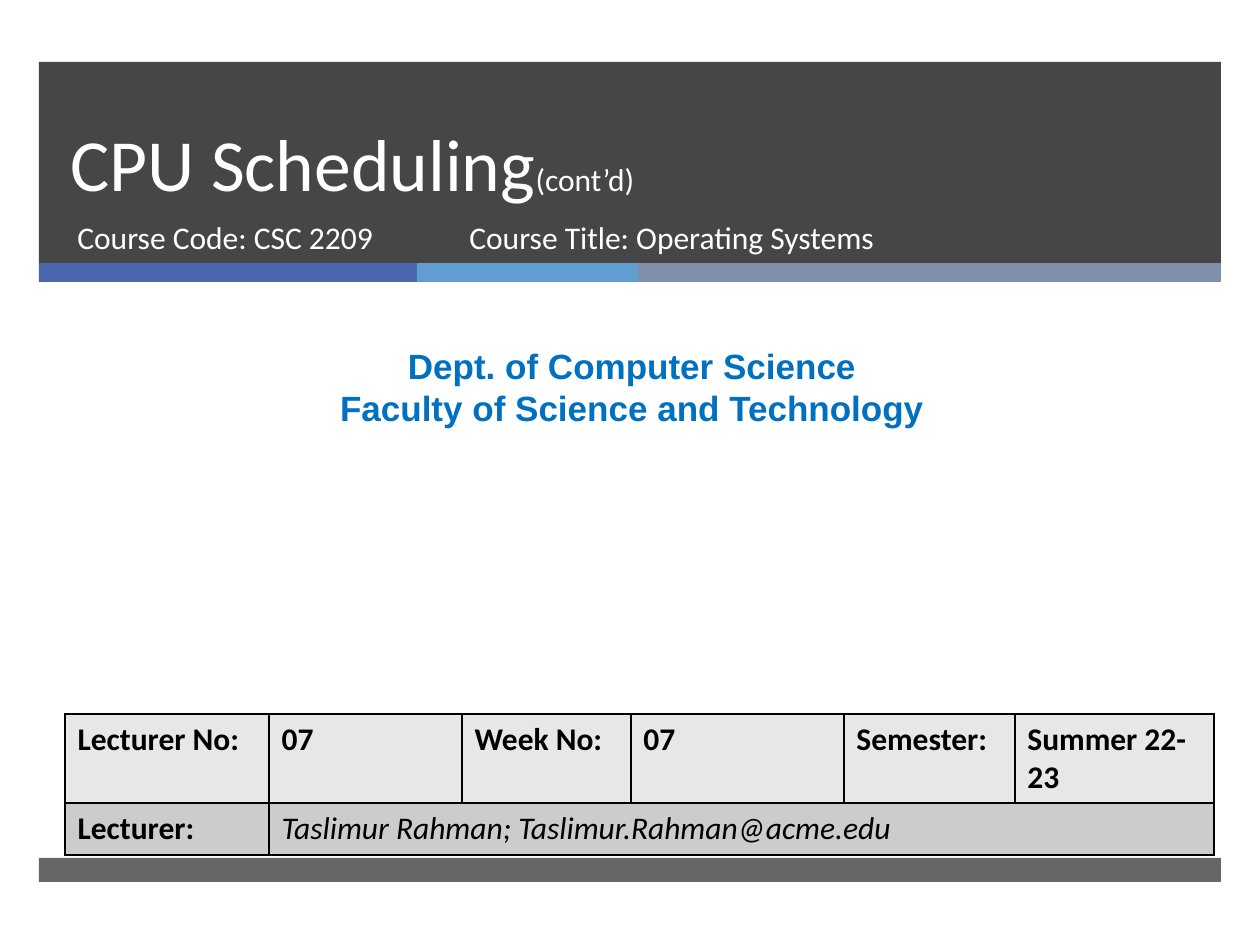
from lxml.etree import SubElement
from pptx import Presentation
from pptx.dml.color import RGBColor
from pptx.enum.shapes import MSO_SHAPE as Shape
from pptx.enum.text import MSO_ANCHOR as Anchor, PP_ALIGN as Align
from pptx.oxml.ns import qn
from pptx.util import Emu, Pt

PIXEL = 914400 // 126
COLORS = {
    "dark": "262626", "blue": "4A66AC", "sky": "629DD1", "slate": "7F8FA9",
    "department": "0070C0", "white": "FFFFFF", "black": "000000",
    "light row": "E7E7E7", "dark row": "CCCCCC",
}
LEFT = 39
BANDS = [(LEFT, 62, 1182, 202, "dark", 85), (LEFT, 858, 1182, 24, "dark", 70)]
STRIPE_TOP, STRIPE_HEIGHT = 263, 19
STRIPES = [("blue", 378), ("sky", 221), ("slate", 583)]

TEXTS = [
    ((58, 62, 1076, 150), [[("CPU Scheduling", 42), ("(cont’d)", 18)]],
     {"color": "white", "anchor": Anchor.BOTTOM, "spacing": Pt(46)}),
    ((65, 212, 384, 67), [[("Course Code: CSC 2209", 18)]], {"color": "white"}),
    ((457, 212, 573, 67), [[("Course Title: Operating Systems", 18)]], {"color": "white"}),
    ((10, 338, 1244, 97),
     [[("Dept. of Computer Science", 20)], [("Faculty of Science and Technology", 20)]],
     {"color": "department", "name": "Arial", "bold": True, "align": Align.CENTER}),
]

TABLE_LEFT, TABLE_TOP = 65, 714
COLUMN_WIDTHS = [204, 193, 169, 213, 171, 199]
ROWS = [
    (89, "light row", ["Lecturer No:", "07", "Week No:", "07", "Semester:", "Summer 22-23"]),
    (52, "dark row", ["Lecturer:", "Taslimur Rahman; Taslimur.Rahman@acme.edu"]),
]


def px(*values):
    return [Emu(value * PIXEL) for value in values]


def rgb(name):
    return RGBColor.from_string(COLORS[name])


def paint(target, color):
    target.fill.solid()
    target.fill.fore_color.rgb = rgb(color)


def style(font, color, name="Calibri", bold=False, italic=False):
    font.name, font.bold, font.italic = name, bold, italic
    font.color.rgb = rgb(color)


def add_band(left, top, width, height, color, opacity=100):
    band = slide.shapes.add_shape(Shape.RECTANGLE, *px(left, top, width, height))
    band.shadow.inherit = False
    band.line.fill.background()
    paint(band, color)
    if opacity < 100:
        color_element = band.fill._xPr.find(".//" + qn("a:srgbClr"))
        SubElement(color_element, qn("a:alpha"), val=str(opacity * 1000))


def add_text(box, lines, color, name="Calibri", bold=False,
             align=Align.LEFT, anchor=Anchor.TOP, spacing=None):
    frame = slide.shapes.add_textbox(*px(*box)).text_frame
    frame.word_wrap = True
    frame.vertical_anchor = anchor
    for index, runs in enumerate(lines):
        paragraph = frame.add_paragraph() if index else frame.paragraphs[0]
        paragraph.alignment = align
        paragraph.line_spacing = spacing
        style(paragraph.font, color, name, bold)
        for text, size in runs:
            run = paragraph.add_run()
            run.text = text
            run.font.size = Pt(size)


def add_borders(cell):
    properties = cell._tc.get_or_add_tcPr()
    for index, side in enumerate(("lnL", "lnR", "lnT", "lnB")):
        line = properties.makeelement(qn("a:" + side), {"w": str(Pt(1))})
        fill = SubElement(line, qn("a:solidFill"))
        SubElement(fill, qn("a:srgbClr"), val=COLORS["black"])
        properties.insert(index, line)


def add_lecture_table():
    heights = [height for height, _, _ in ROWS]
    box = px(TABLE_LEFT, TABLE_TOP, sum(COLUMN_WIDTHS), sum(heights))
    table = slide.shapes.add_table(len(ROWS), len(COLUMN_WIDTHS), *box).table
    table.first_row = table.horz_banding = False
    for column, width in zip(table.columns, px(*COLUMN_WIDTHS)):
        column.width = width
    for row, height, (_, color, texts) in zip(table.rows, px(*heights), ROWS):
        row.height = height
        for cell in row.cells:
            paint(cell, color)
            add_borders(cell)
        for cell, text in zip(row.cells, texts):
            cell.text = text
            font = cell.text_frame.paragraphs[0].font
            font.size = Pt(18)
            is_lecturer = "@" in text
            style(font, "black", bold=not is_lecturer, italic=is_lecturer)
    table.cell(1, 1).merge(table.cell(1, len(COLUMN_WIDTHS) - 1))


presentation = Presentation()
presentation.slide_width, presentation.slide_height = px(1260, 945)
slide = presentation.slides.add_slide(presentation.slide_layouts[6])

for band in BANDS:
    add_band(*band)
stripe_left = LEFT
for color, width in STRIPES:
    add_band(stripe_left, STRIPE_TOP, width, STRIPE_HEIGHT, color)
    stripe_left += width
for box, lines, options in TEXTS:
    add_text(box, lines, **options)
add_lecture_table()

presentation.save("out.pptx")
